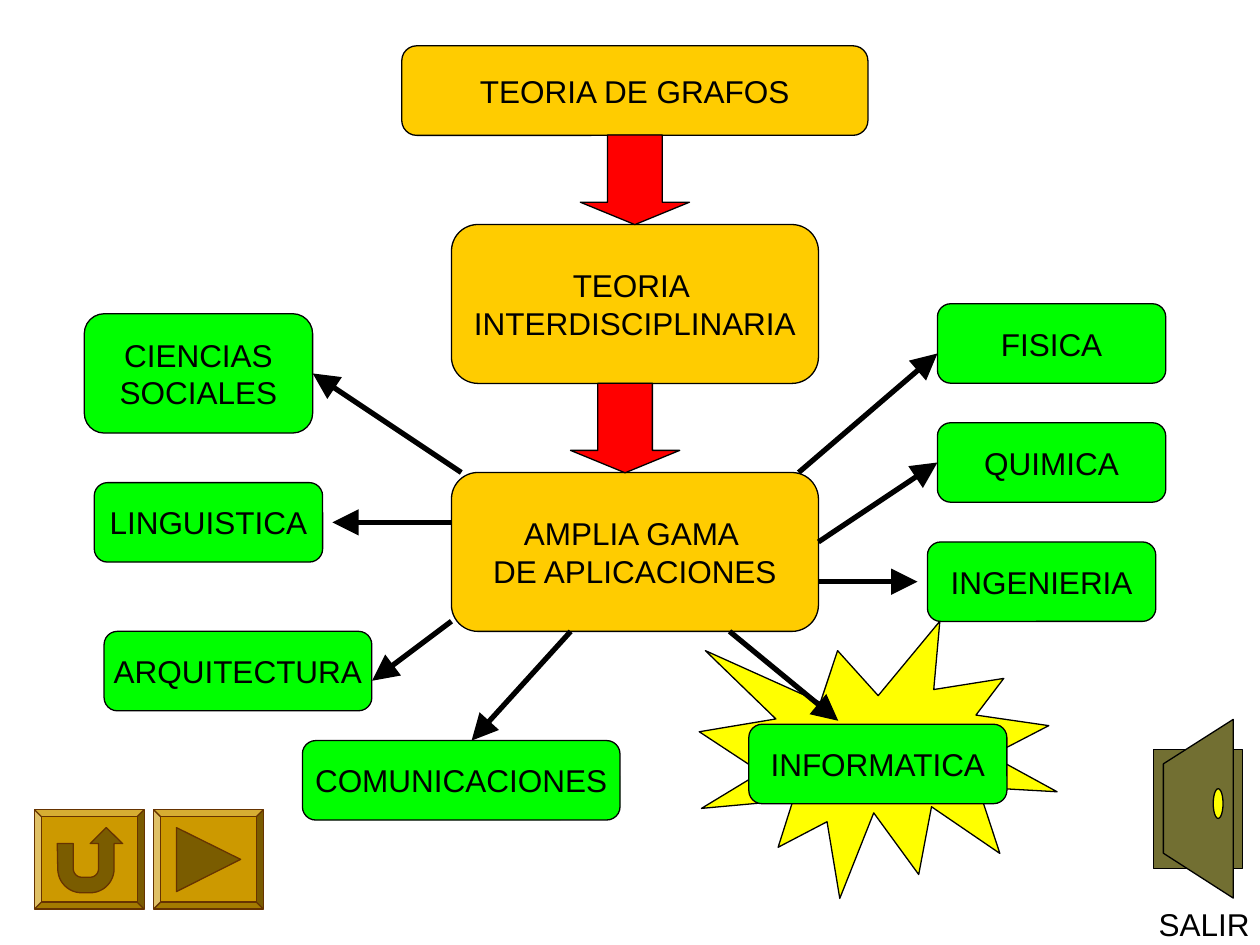
from dataclasses import dataclass
from math import cos, radians, sin

from lxml.etree import SubElement
from pptx import Presentation
from pptx.dml.color import RGBColor
from pptx.enum.shapes import MSO_CONNECTOR, MSO_SHAPE
from pptx.enum.text import MSO_ANCHOR, PP_ALIGN
from pptx.oxml.ns import qn
from pptx.util import Pt


@dataclass(frozen=True)
class Theme:
    ink: str = "000000"
    main: str = "FFCC00"
    field: str = "00FF00"
    flow: str = "FF0000"
    highlight: str = "FFFF00"
    door: str = "726F32"
    button: str = "CC9900"
    button_edge: str = "663300"
    button_icon: str = "7A5C00"
    font: str = "Arial"
    size: float = 18
    outline: float = 0.75
    arrow: float = 3


def write(frame, text, theme, align=PP_ALIGN.CENTER, anchor=MSO_ANCHOR.MIDDLE,
          wrap=False):
    frame.word_wrap = wrap
    frame.vertical_anchor = anchor
    for index, line in enumerate(text.split("\n")):
        paragraph = frame.paragraphs[0] if index == 0 else frame.add_paragraph()
        paragraph.alignment = align
        run = paragraph.add_run()
        run.text = line
        run.font.name = theme.font
        run.font.size = Pt(theme.size)
        run.font.color.rgb = RGBColor.from_string(theme.ink)


class Diagram:
    def __init__(self, slide, theme):
        self.shapes = slide.shapes
        self.theme = theme

    def paint(self, shape, fill, edge=None):
        shape.shadow.inherit = False
        shape.fill.solid()
        shape.fill.fore_color.rgb = RGBColor.from_string(fill)
        shape.line.color.rgb = RGBColor.from_string(edge or self.theme.ink)
        shape.line.width = Pt(self.theme.outline)
        return shape

    def preset(self, kind, box, fill, edge=None):
        shape = self.shapes.add_shape(kind, *(Pt(v) for v in box))
        return self.paint(shape, fill, edge)

    def outline(self, points, fill, edge=None):
        first, *rest = [(Pt(x), Pt(y)) for x, y in points]
        builder = self.shapes.build_freeform(*first)
        builder.add_line_segments(rest, close=True)
        return self.paint(builder.convert_to_shape(), fill, edge)

    def topic(self, text, box, fill):
        topic = self.preset(MSO_SHAPE.ROUNDED_RECTANGLE, box, fill)
        write(topic.text_frame, text, self.theme)

    def flow(self, left, top):
        flow = self.preset(MSO_SHAPE.DOWN_ARROW, (left, top, 62.4, 51.2),
                           self.theme.flow)
        flow.adjustments[1] = 0.25

    def arrow(self, start, end):
        arrow = self.shapes.add_connector(
            MSO_CONNECTOR.STRAIGHT, *(Pt(v) for v in (*start, *end)))
        arrow.line.color.rgb = RGBColor.from_string(self.theme.ink)
        arrow.line.width = Pt(self.theme.arrow)
        SubElement(arrow.line._get_or_add_ln(), qn("a:tailEnd"),
                   type="triangle", w="lg", len="lg")
        SubElement(arrow._element.spPr, qn("a:effectLst"))

    def label(self, text, box):
        label = self.shapes.add_textbox(*(Pt(v) for v in box))
        label.text_frame.margin_right = 0
        write(label.text_frame, text, self.theme,
              align=PP_ALIGN.LEFT, anchor=MSO_ANCHOR.TOP, wrap=True)

    def button(self, left, icon):
        theme = self.theme
        bevel = self.preset(MSO_SHAPE.BEVEL, (left, 462.7, 62.7, 56.8),
                            theme.button, theme.button_edge)
        bevel.adjustments[0] = 0.07
        self.outline([(left + x, 462.7 + y) for x, y in icon],
                     theme.button_icon, theme.button_edge)


def arc(center, radius, start, end, steps=12):
    angles = [radians(start + (end - start) * i / steps) for i in range(steps + 1)]
    return [(center[0] + radius * cos(a), center[1] + radius * sin(a))
            for a in angles]


def main():
    theme = Theme()
    deck = Presentation()
    deck.slide_width, deck.slide_height = Pt(720), Pt(540)
    diagram = Diagram(deck.slides.add_slide(deck.slide_layouts[6]), theme)

    diagram.preset(MSO_SHAPE.EXPLOSION1, (399.6, 355, 204.5, 158.4), theme.highlight)

    for text, box in [
        ("TEORIA DE GRAFOS", (229.6, 26.2, 266.4, 51.2)),
        ("TEORIA \nINTERDISCIPLINARIA", (258, 128.3, 209.7, 90.8)),
        ("AMPLIA GAMA \nDE APLICACIONES", (258, 270, 209.7, 90.8)),
    ]:
        diagram.topic(text, box, theme.main)
    for left, top in [(331.6, 77.2), (326, 219)]:
        diagram.flow(left, top)

    for text, left, top, width, height in [
        ("CIENCIAS\nSOCIALES", 48.2, 179.3, 130.5, 68.2),
        ("LINGUISTICA", 53.9, 275.8, 130.5, 45.4),
        ("FISICA", 535.7, 173.6, 130.5, 45.4),
        ("QUIMICA", 535.7, 241.6, 130.5, 45.4),
        ("COMUNICACIONES", 172.8, 423.2, 181.5, 45.4),
        ("ARQUITECTURA", 59.5, 360.8, 153, 45.4),
        ("INGENIERIA", 530, 309.7, 130.5, 45.4),
        ("INFORMATICA", 427.9, 413.9, 147.5, 45.4),
    ]:
        diagram.topic(text, (left, top, width, height), theme.field)

    for start, end in [
        ((263.6, 270), (178.7, 213.4)),
        ((258, 298.5), (189.9, 298.5)),
        ((258, 355), (212.6, 389)),
        ((326.1, 360.8), (269.5, 423.2)),
        ((456.4, 270), (535.7, 202)),
        ((467.7, 309.7), (535.7, 264.3)),
        ((416.9, 360.8), (479, 411.9)),
        ((467.7, 332.4), (524.3, 332.4)),
    ]:
        diagram.arrow(start, end)

    diagram.preset(MSO_SHAPE.RECTANGLE, (659, 428.5, 51.1, 67.7), theme.door)
    diagram.outline([(704.7, 411.1), (704.7, 513.2), (664.8, 487.6), (664.8, 436.5)],
                    theme.door)
    diagram.preset(MSO_SHAPE.OVAL, (693.3, 450.7, 5.6, 17), theme.highlight)
    diagram.label("SALIR", (655, 513.6, 65, 26.4))

    left_bend, right_bend = (27, 33.8), (31.8, 33.8)
    turn_back = [
        (13, 19.4), (22.2, 19.4),
        *arc(left_bend, 4.8, 180, 90), *arc(right_bend, 4.8, 90, 0),
        (36.6, 19.4), (31.8, 19.4), (41, 10.2), (50.4, 19.4), (45.5, 19.4),
        *arc(right_bend, 13.7, 0, 90), *arc(left_bend, 13.7, 90, 180),
    ]
    go_forward = [(13, 10.2), (49.7, 28.4), (13, 46.8)]
    diagram.button(19.7, turn_back)
    diagram.button(87.8, go_forward)

    deck.save("out.pptx")


if __name__ == "__main__":
    main()
